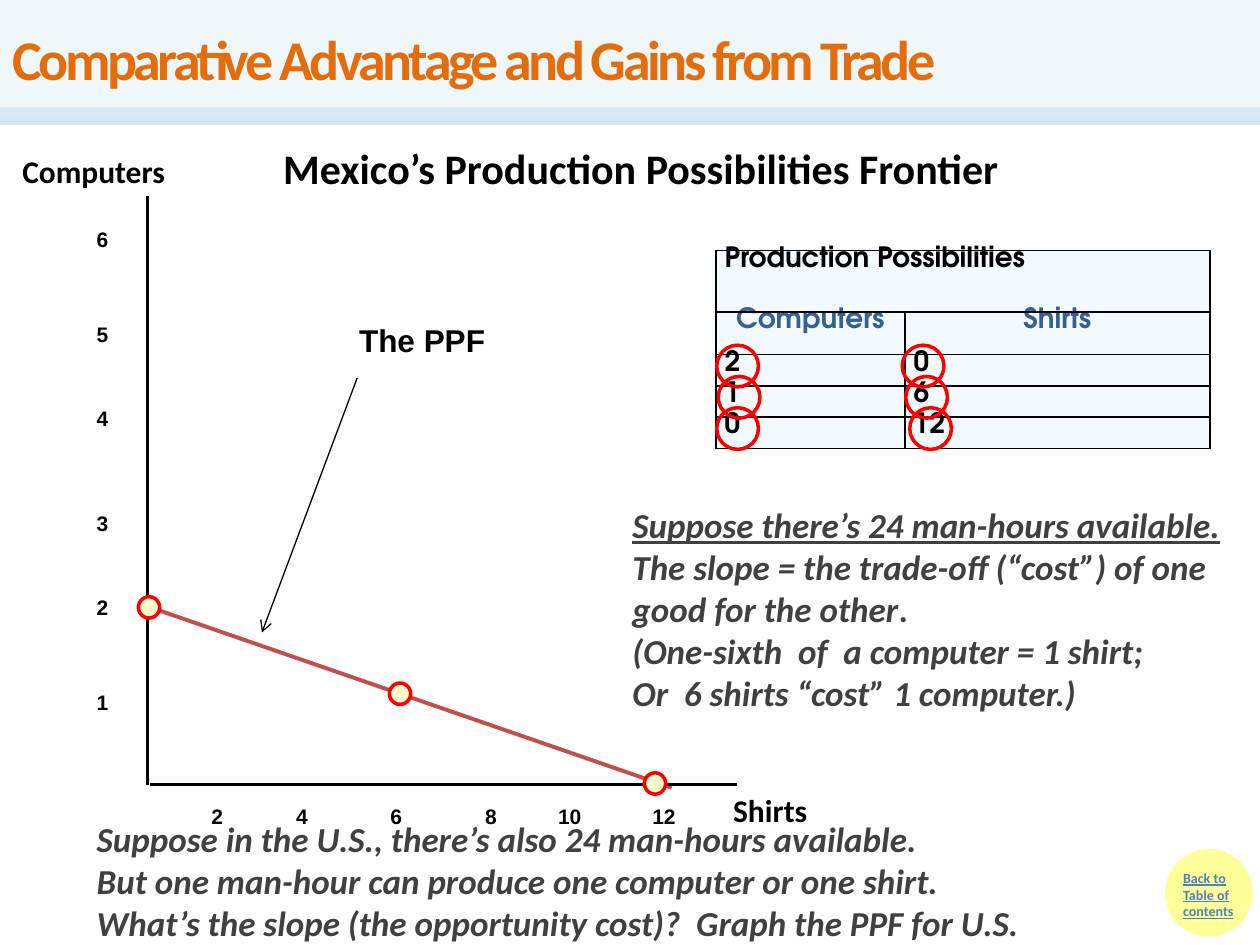
from dataclasses import dataclass, field

from lxml import etree
from pptx import Presentation
from pptx import util as u
from pptx.dml.color import RGBColor
from pptx.enum import shapes, text
from pptx.oxml.ns import qn

LEFT, MID = text.PP_ALIGN.LEFT, text.PP_ALIGN.CENTER
BLACK, RED, GREY = "000000", "FF0000", "404040"


@dataclass
class Note:
    """Text box in cm; each line is a list of (words, format changes)."""
    box: tuple
    lines: list
    size: float
    font: str = "Calibri"
    color: str = BLACK
    align: int = LEFT
    more: dict = field(default_factory=dict)


@dataclass
class Dot:
    x: float
    y: float
    size: float
    fill: str | None = None
    edge: str = RED


@dataclass
class Rule:
    start: tuple
    end: tuple
    color: str
    width: float


def rgb(code: str) -> RGBColor:
    return RGBColor.from_string(code)


def cm(*nums: float) -> list:
    return [u.Cm(n) for n in nums]


def fade(item, part: int) -> None:
    """Set the opacity, in percent, of every colour of a shape."""
    for tone in item._element.spPr.iter(qn("a:srgbClr")):
        etree.SubElement(tone, qn("a:alpha"), val=str(part * 1000))


def put(run, words: str, color: str, **form) -> None:
    run.text = words
    run.font.color.rgb = rgb(color)
    for key, val in form.items():
        setattr(run.font, key, val)


def write(tree, note: Note):
    box = tree.add_textbox(*cm(*note.box))
    frame = box.text_frame
    frame.word_wrap = True
    for i, line in enumerate(note.lines):
        par = frame.add_paragraph() if i else frame.paragraphs[0]
        par.alignment = note.align
        for words, form in line:
            base = {"size": u.Pt(note.size), "name": note.font, "bold": True}
            put(par.add_run(), words, note.color, **(base | note.more | form))
    return box


def draw_dot(tree, dot: Dot) -> None:
    oval = tree.add_shape(shapes.MSO_SHAPE.OVAL, *cm(dot.x, dot.y, dot.size, dot.size))
    oval.shadow.inherit = False
    if dot.fill:
        oval.fill.solid()
        oval.fill.fore_color.rgb = rgb(dot.fill)
    else:
        oval.fill.background()
    oval.line.color.rgb = rgb(dot.edge)
    oval.line.width = u.Pt(2)


def draw_rule(tree, rule: Rule):
    line = tree.add_connector(shapes.MSO_CONNECTOR.STRAIGHT, *cm(*rule.start, *rule.end))
    line.line.color.rgb = rgb(rule.color)
    line.line.width = u.Pt(rule.width)
    etree.SubElement(line._element.spPr, qn("a:effectLst"))
    return line


def frame_cell(cell) -> None:
    """Give a cell its four thin black borders, ahead of its fill."""
    props = cell._tc.get_or_add_tcPr()
    for i, side in enumerate("LRTB"):
        edge = etree.Element(qn(f"a:ln{side}"), w=str(u.Pt(1)))
        paint = etree.SubElement(edge, qn("a:solidFill"))
        etree.SubElement(paint, qn("a:srgbClr"), val=BLACK)
        props.insert(i, edge)


def draw_table(tree) -> None:
    rows = [("Production Possibilities", ""), ("Computers", "Shirts"),
            ("2", "0"), ("1", "6"), ("0", "12")]
    grid = tree.add_table(len(rows), 2, *cm(14.43, 5.05, 9.96, 4.0)).table
    for col, wide in zip(grid.columns, (3.81, 6.15)):
        col.width = u.Cm(wide)
    for row, high in zip(grid.rows, (1.24, 0.86, 0.63, 0.63, 0.63)):
        row.height = u.Cm(high)
    grid.cell(0, 0).merge(grid.cell(0, 1))
    for r, row in enumerate(rows):
        head = r == 1
        for c, words in enumerate(row):
            cell = grid.cell(r, c)
            cell.margin_left = cell.margin_right = u.Cm(0.18)
            cell.margin_top = cell.margin_bottom = 0
            cell.fill.solid()
            cell.fill.fore_color.rgb = rgb("F3FAFF")
            frame_cell(cell)
            if words:
                par = cell.text_frame.paragraphs[0]
                par.alignment = MID if head else LEFT
                par.line_spacing = 0.8
                put(par.add_run(), words, "376092" if head else BLACK,
                    size=u.Pt(16), name="TeX Gyre Adventor", bold=True)


def draw_head(tree) -> None:
    fade(draw_rule(tree, Rule((0, 2.34), (25.4, 2.34), "C6D9F1", 10)), 71)
    title = write(tree, Note((0, 0, 25.4, 2.34), [
        [("Comparative Advantage and Gains from Trade", {})]], 32, color="E46C0A"))
    title.text_frame.vertical_anchor = text.MSO_ANCHOR.MIDDLE
    title.text_frame.paragraphs[0].runs[0].font._element.set("spc", "-200")
    title.fill.solid()
    title.fill.fore_color.rgb = rgb("DBEEF4")
    fade(title, 44)
    write(tree, Note((0.64, 2.74, 24.56, 1.3), [
        [("Mexico’s Production Possibilities Frontier", {})]], 24, align=MID))


def draw_graph(tree) -> None:
    draw_rule(tree, Rule((3.02, 12.24), (13.54, 15.88), "C0504D", 2.25))
    draw_rule(tree, Rule((2.97, 3.96), (2.97, 15.82), BLACK, 1.5))
    draw_rule(tree, Rule((3.02, 15.82), (14.86, 15.82), BLACK, 1.5))
    ups = (13.77, 11.86, 10.16, 8.05, 6.35, 4.45)
    rights = (4.01, 5.72, 7.62, 9.53, 11, 12.9)
    marks = [(n, 1.7, y) for n, y in enumerate(ups, 1)]
    marks += [(2 * n, x, 16.08) for n, x in enumerate(rights, 1)]
    for num, x, y in marks:
        write(tree, Note((x, y, 1.27, 0.76), [[(str(num), {})]], 12, "Arial"))
    for x, y in ((2.79, 12.03), (7.85, 13.77), (12.99, 15.58)):
        draw_dot(tree, Dot(x, y, 0.43, "FFFFCC"))
    arrow = draw_rule(tree, Rule((7.2, 7.62), (5.28, 12.75), BLACK, 0.75))
    etree.SubElement(arrow.line._get_or_add_ln(), qn("a:tailEnd"), type="arrow")
    for words, box, font in (("The PPF", (6.99, 6.35, 3.18, 1.02), "Arial"),
                             ("Computers", (0.2, 2.95, 3.89, 1.02), "Calibri"),
                             ("Shirts", (14.53, 15.82, 2.06, 1.02), "Calibri")):
        write(tree, Note(box, [[(words, {})]], 18, font))


def draw_notes(tree) -> None:
    slant = {"italic": True}
    write(tree, Note((12.5, 10.03, 12.7, 4.52), [
        [("Suppose there’s 24 man-hours available.", {"underline": True})],
        [("The slope = the trade-off (“cost”) of one good for the other", {}),
         (".", {"italic": False})],
        [("(One-sixth  of  a computer = 1 shirt;", {})],
        [("Or  6 shirts “cost” 1 computer.)", {})]], 20, color=GREY, more=slant))
    write(tree, Note((1.7, 16.36, 22.48, 2.82), [
        [("Suppose in the U.S., there’s also 24 man-hours available.", {})],
        [("But one man-hour can produce one computer or one shirt.", {})],
        [("What’s the slope (the opportunity cost)?  Graph the PPF for U.S.", {})]],
        20, color=GREY, more=slant))


def main() -> None:
    deck = Presentation()
    deck.slide_width, deck.slide_height = cm(25.4, 19.05)
    tree = deck.slides.add_slide(deck.slide_layouts[6]).shapes
    draw_head(tree)
    draw_dot(tree, Dot(23.52, 17.15, 1.7, "FFFF99", "FFFF99"))
    write(tree, Note((23.6, 17.4, 1.83, 1.7), [[("Back to Table of contents", {})]],
                     8, color="4F81BD", more={"underline": True}))
    draw_table(tree)
    for i, pair in enumerate(((14.45, 18.19), (14.48, 18.26), (14.45, 18.34))):
        for x in pair:
            draw_dot(tree, Dot(x, 6.96 + 0.63 * i, 0.84))
    draw_graph(tree)
    draw_notes(tree)
    deck.save("out.pptx")


if __name__ == "__main__":
    main()
